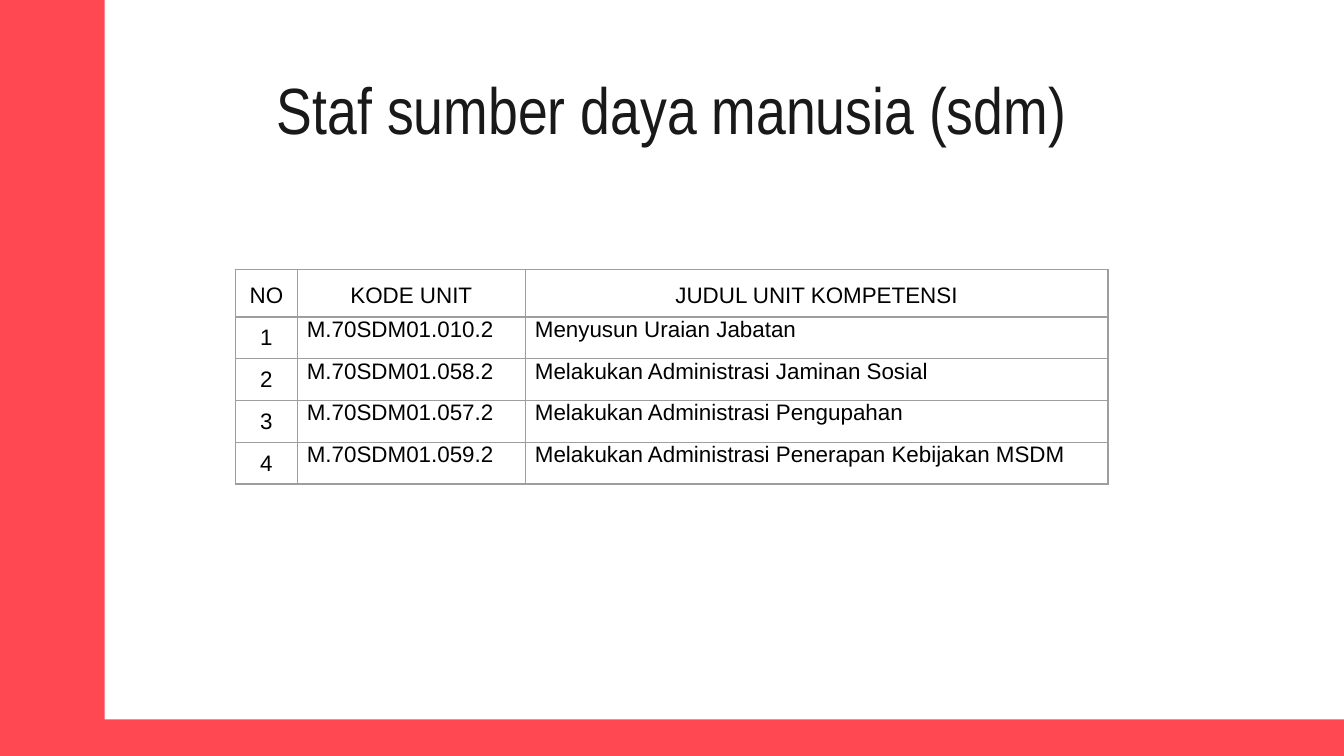
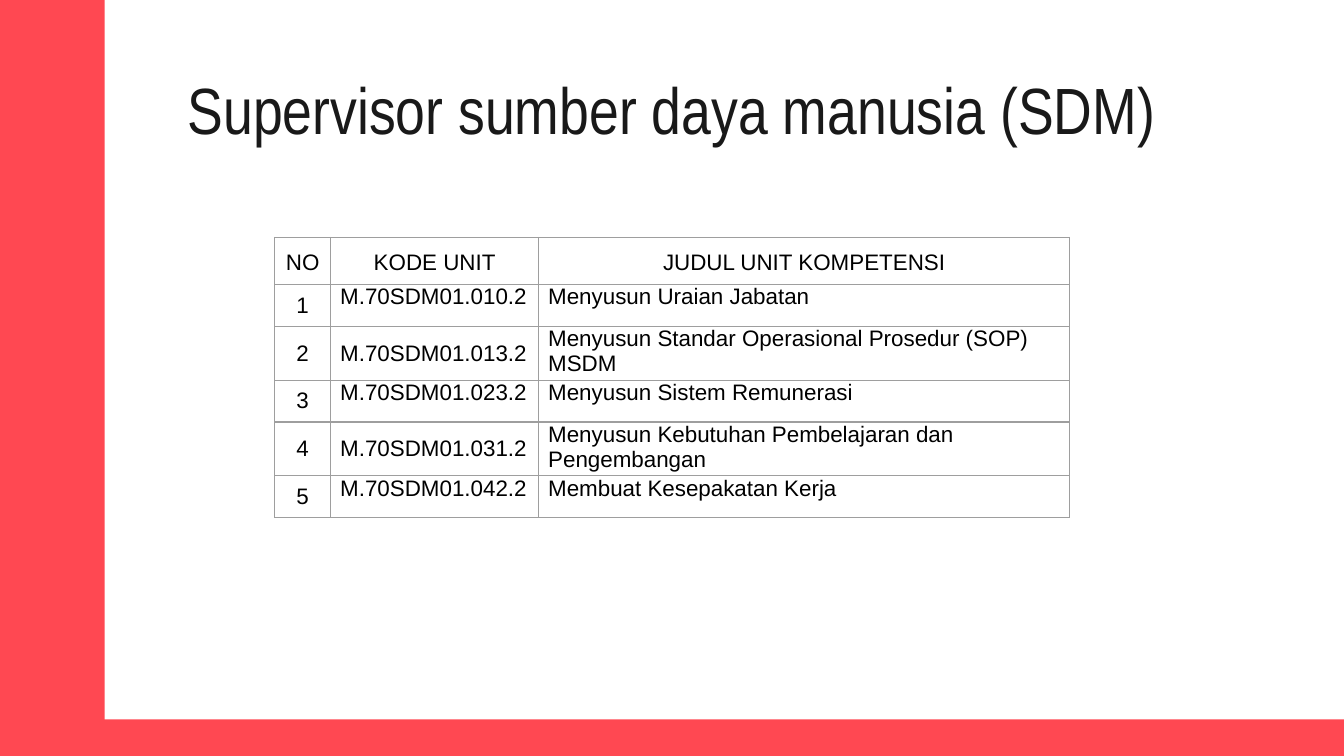
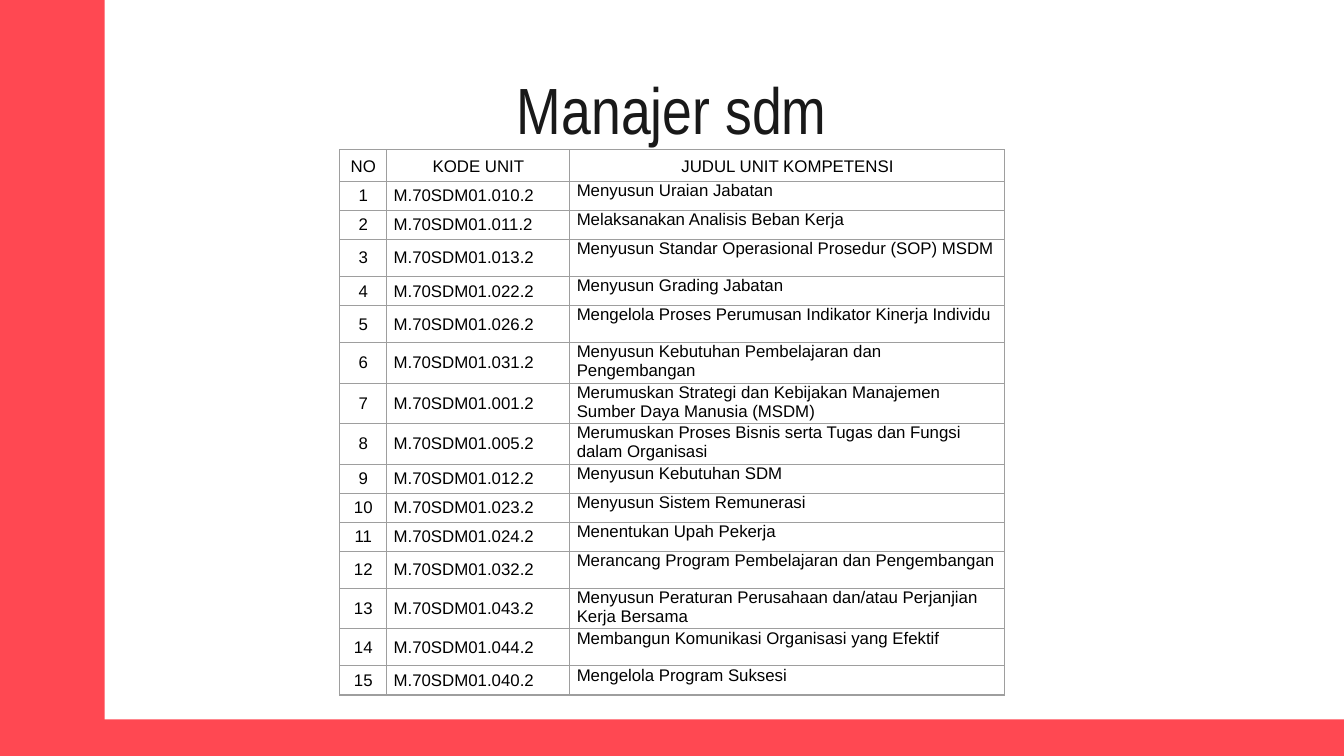
from lxml.etree import SubElement
from pptx import Presentation
from pptx.dml.color import RGBColor as RGB
from pptx.enum.shapes import MSO_SHAPE as Shape
from pptx.enum.text import MSO_ANCHOR as Anchor, PP_ALIGN as Align
from pptx.oxml.ns import qn
from pptx.util import Cm, Pt

COLORS = {"band": "FF4852", "title": "191919", "text": "000000", "border": "9E9E9E"}
HEADINGS = ("NO", "KODE UNIT", "JUDUL UNIT KOMPETENSI")
SLIDE_W, SLIDE_H = 25.4, 14.29

# Competency units: code and title
STAFF_UNITS = [
    ("M.70SDM01.010.2", "Menyusun Uraian Jabatan"),
    ("M.70SDM01.058.2", "Melakukan Administrasi Jaminan Sosial"),
    ("M.70SDM01.057.2", "Melakukan Administrasi Pengupahan"),
    ("M.70SDM01.059.2", "Melakukan Administrasi Penerapan Kebijakan MSDM"),
]
SUPERVISOR_UNITS = [
    ("M.70SDM01.010.2", "Menyusun Uraian Jabatan"),
    ("M.70SDM01.013.2", "Menyusun Standar Operasional Prosedur (SOP) MSDM"),
    ("M.70SDM01.023.2", "Menyusun Sistem Remunerasi"),
    ("M.70SDM01.031.2", "Menyusun Kebutuhan Pembelajaran dan Pengembangan"),
    ("M.70SDM01.042.2", "Membuat Kesepakatan Kerja"),
]
MANAGER_UNITS = [
    ("M.70SDM01.010.2", "Menyusun Uraian Jabatan"),
    ("M.70SDM01.011.2", "Melaksanakan Analisis Beban Kerja"),
    ("M.70SDM01.013.2", "Menyusun Standar Operasional Prosedur (SOP) MSDM"),
    ("M.70SDM01.022.2", "Menyusun Grading Jabatan"),
    ("M.70SDM01.026.2", "Mengelola Proses Perumusan Indikator Kinerja Individu"),
    ("M.70SDM01.031.2", "Menyusun Kebutuhan Pembelajaran dan Pengembangan"),
    ("M.70SDM01.001.2", "Merumuskan Strategi dan Kebijakan Manajemen Sumber Daya Manusia (MSDM)"),
    ("M.70SDM01.005.2", "Merumuskan Proses Bisnis serta Tugas dan Fungsi dalam Organisasi"),
    ("M.70SDM01.012.2", "Menyusun Kebutuhan SDM"),
    ("M.70SDM01.023.2", "Menyusun Sistem Remunerasi"),
    ("M.70SDM01.024.2", "Menentukan Upah Pekerja"),
    ("M.70SDM01.032.2", "Merancang Program Pembelajaran dan Pengembangan"),
    ("M.70SDM01.043.2", "Menyusun Peraturan Perusahaan dan/atau Perjanjian Kerja Bersama"),
    ("M.70SDM01.044.2", "Membangun Komunikasi Organisasi yang Efektif"),
    ("M.70SDM01.040.2", "Mengelola Program Suksesi"),
]


class Deck:
    def __init__(self):
        self.prs = Presentation()
        self.prs.slide_width, self.prs.slide_height = Cm(SLIDE_W), Cm(SLIDE_H)
        self.slide = None

    def new_slide(self, title):
        self.slide = self.prs.slides.add_slide(self.prs.slide_layouts[6])
        self.band(0, 0, 1.98, SLIDE_H)
        self.band(0, 13.6, SLIDE_W, SLIDE_H - 13.6)
        self.title(title)

    def band(self, left, top, width, height):
        band = self.slide.shapes.add_shape(
            Shape.RECTANGLE, Cm(left), Cm(top), Cm(width), Cm(height))
        band.shadow.inherit = False
        band.fill.solid()
        band.fill.fore_color.rgb = RGB.from_string(COLORS["band"])
        band.line.fill.background()

    def style(self, paragraph, font, size, color, align):
        paragraph.alignment = align
        for run in paragraph.runs:
            run.font.name, run.font.size = font, Pt(size)
            run.font.color.rgb = RGB.from_string(COLORS[color])

    def title(self, text):
        frame = self.slide.shapes.add_textbox(
            Cm(2), Cm(1.25), Cm(21.4), Cm(1.6)).text_frame
        frame.word_wrap = True
        frame.vertical_anchor = Anchor.MIDDLE
        frame.margin_left = frame.margin_right = Cm(0.25)
        frame.margin_top = frame.margin_bottom = Cm(0.25)
        frame.text = text
        self.style(frame.paragraphs[0], "Arial Narrow", 35, "title", Align.CENTER)

    def borders(self, cell):
        props = cell._tc.get_or_add_tcPr()
        for index, side in enumerate(("lnL", "lnR", "lnT", "lnB")):
            line = SubElement(props, qn(f"a:{side}"), w=str(Pt(0.75)))
            fill = SubElement(line, qn("a:solidFill"))
            SubElement(fill, qn("a:srgbClr"), val=COLORS["border"])
            props.insert(index, line)

    def cell(self, cell, text, size, margin, centred, middle):
        cell.text = text
        cell.margin_left = cell.margin_right = Cm(margin)
        cell.margin_top = cell.margin_bottom = 0
        cell.vertical_anchor = Anchor.MIDDLE if middle else Anchor.TOP
        cell.fill.background()
        self.borders(cell)
        self.style(cell.text_frame.paragraphs[0], "Arial", size, "text",
                   Align.CENTER if centred else Align.LEFT)

    def unit_table(self, units, left, top, widths, heights, size, margin, middle_codes=()):
        """middle_codes holds the numbers of the units whose code is centred vertically."""
        table = self.slide.shapes.add_table(
            len(units) + 1, len(HEADINGS), Cm(left), Cm(top),
            Cm(sum(widths)), Cm(sum(heights))).table
        table.first_row = table.horz_banding = False
        for column, width in zip(table.columns, widths):
            column.width = Cm(width)
        for row, height in zip(table.rows, heights):
            row.height = Cm(height)

        rows = [HEADINGS] + [(str(n), *unit) for n, unit in enumerate(units, 1)]
        for r, texts in enumerate(rows):
            for c, text in enumerate(texts):
                heading = r == 0
                cell = table.cell(r, c)
                self.cell(cell, text, size, margin, centred=heading or c == 0,
                          middle=heading or c == 0 or (c == 1 and r in middle_codes))
                paragraph = cell.text_frame.paragraphs[0]
                if heading:
                    paragraph.line_spacing = 1.15
                elif c > 0:
                    paragraph.space_after = Pt(6)


def main():
    deck = Deck()

    # Staff
    deck.new_slide("Staf sumber daya manusia (sdm)")
    deck.unit_table(STAFF_UNITS, 4.45, 5.1, (1.17, 4.31, 11.01),
                    [0.89] + [0.79] * 4, 12, 0.18)

    # Supervisor
    deck.new_slide("Supervisor sumber daya manusia (SDM)")
    deck.unit_table(SUPERVISOR_UNITS, 5.19, 4.49, (1.06, 3.93, 10.04),
                    [0.89] + [0.79] * 5, 12, 0.18, middle_codes=(2, 4))

    # Manager: rows come in three heights
    low, mid, tall = 0.55, 0.7, 0.76
    deck.new_slide("Manajer sdm")
    deck.unit_table(MANAGER_UNITS, 6.42, 2.83, (0.89, 3.46, 8.22),
                    [0.6, low, low, mid, low, mid, tall, tall, tall,
                     low, low, low, mid, tall, mid, low],
                    9, 0.13, middle_codes=range(1, 16))

    deck.prs.save("out.pptx")


if __name__ == "__main__":
    main()
